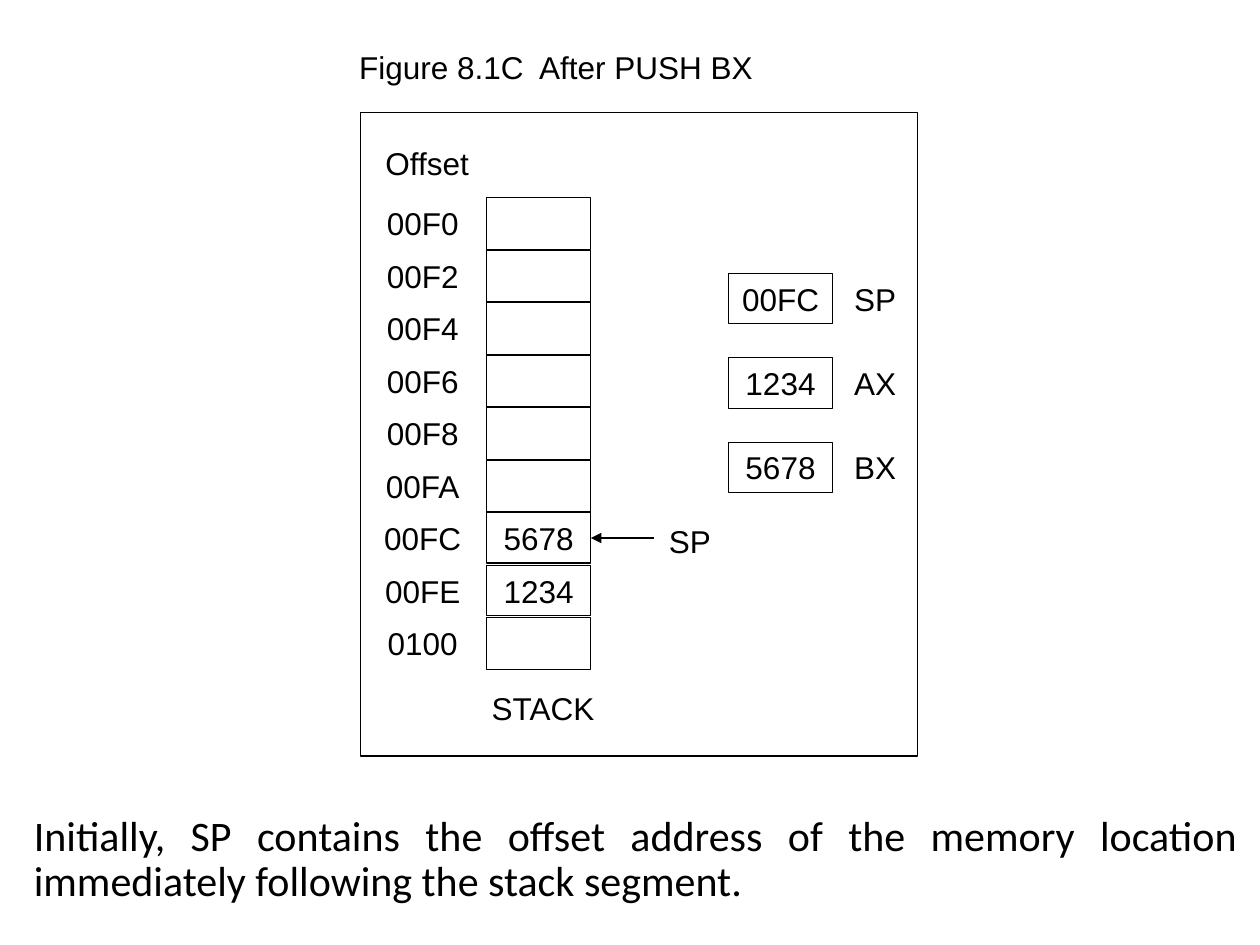
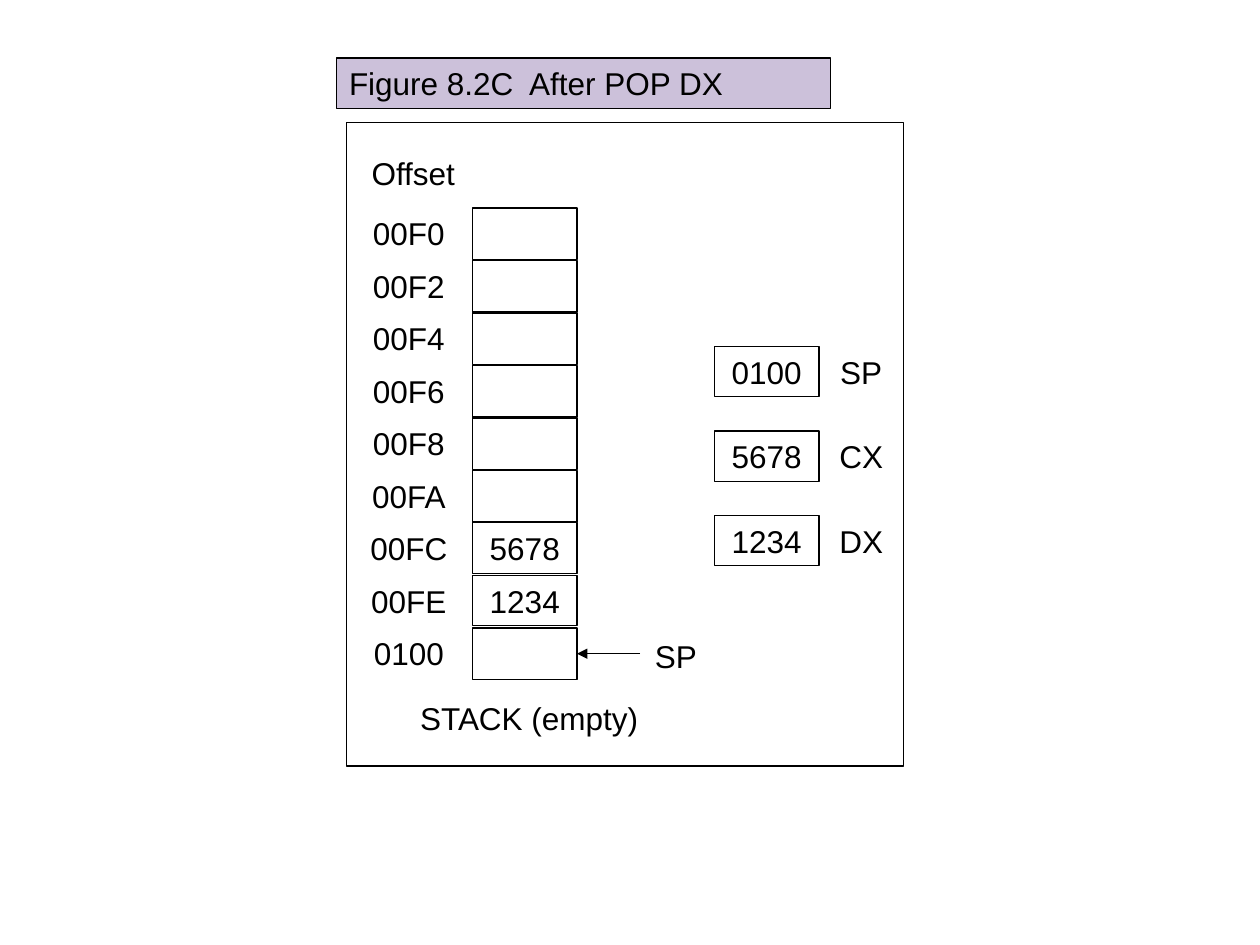
import pptx
import pptx.dml.color
import pptx.enum.shapes
import pptx.enum.text
import pptx.oxml
import pptx.util
from pptx.util import Inches

COLORS = {"ink": "000000", "caption": "CCC1DA"}
ALIGN = pptx.enum.text.PP_ALIGN
OFFSETS = ["00F0", "00F2", "00F4", "00F6", "00F8", "00FA", "00FC", "00FE", "0100"]
STACK_VALUES = {"00FC": "5678", "00FE": "1234"}
FRAME_SIZE = (4.42, 5.11)
CELL_W, CELL_H, TEXT_H = 0.83, 0.41, 0.4
ROW_PITCH = 5 / 12
REGISTER_PITCH = 0.67


def rgb(name):
    """Return a named colour."""
    return pptx.dml.color.RGBColor.from_string(COLORS[name])


def write(shape, text, align=ALIGN.CENTER, size=18, font="Arial"):
    """Put one formatted paragraph in a shape."""
    frame = shape.text_frame
    frame.text = text
    frame.word_wrap = True
    frame.auto_size = pptx.enum.text.MSO_AUTO_SIZE.NONE
    frame.vertical_anchor = pptx.enum.text.MSO_ANCHOR.MIDDLE
    paragraph = frame.paragraphs[0]
    paragraph.alignment = align
    paragraph.font.size = pptx.util.Pt(size)
    paragraph.font.name = font
    paragraph.font.color.rgb = rgb("ink")
    return paragraph


def outline(shape):
    """Give a shape or connector the thin black line."""
    shape.line.color.rgb = rgb("ink")
    shape.line.width = pptx.util.Pt(0.75)


def add_label(slide, text, x, y, width=CELL_W):
    """Add centred text without a border."""
    label = slide.shapes.add_textbox(
        Inches(x), Inches(y), Inches(width), Inches(TEXT_H))
    write(label, text)


def add_box(slide, x, y, width, height, text=""):
    """Add an outlined, unfilled rectangle."""
    box = slide.shapes.add_shape(
        pptx.enum.shapes.MSO_SHAPE.RECTANGLE,
        Inches(x), Inches(y), Inches(width), Inches(height))
    box.shadow.inherit = False
    box.fill.background()
    outline(box)
    if text:
        write(box, text)
    return box


def add_pointer(slide, cell, tail_x):
    """Draw an arrow from tail_x to the right side of a stack cell."""
    middle = cell.top + cell.height // 2
    arrow = slide.shapes.add_connector(
        pptx.enum.shapes.MSO_CONNECTOR.STRAIGHT,
        Inches(tail_x), middle, cell.left + cell.width, middle)
    arrow.end_connect(cell, 3)
    outline(arrow)
    properties = arrow._element.spPr
    line_end = pptx.oxml.parse_xml(
        '<a:tailEnd xmlns:a="http://schemas.openxmlformats.org/drawingml/2006/main"'
        ' type="triangle"/>')
    properties.find(pptx.oxml.ns.qn("a:ln")).append(line_end)
    properties.append(properties.makeelement(pptx.oxml.ns.qn("a:effectLst"), {}))


def add_stack(slide, x, y, pointer):
    """Add the offsets, the stack cells and the SP pointer."""
    add_label(slide, "Offset", x - 0.01, y - 0.48, 0.92)
    for row, offset in enumerate(OFFSETS):
        top = y + row * ROW_PITCH
        value = STACK_VALUES.get(offset, "")
        add_label(slide, offset, x, top)
        cell = add_box(slide, x + 0.92, top, CELL_W, TEXT_H if value else CELL_H, value)
        if offset == pointer:
            add_pointer(slide, cell, x + 2.25)
            add_label(slide, "SP", x + 2.12, top + 0.02)


def add_registers(slide, x, y, registers):
    """Add the column of register values with their names."""
    for row, (name, value) in enumerate(registers.items()):
        top = y + row * REGISTER_PITCH
        add_box(slide, x, top, CELL_W, TEXT_H, value)
        add_label(slide, name, x + 0.75, top)


def add_caption(slide, text, x, y, filled):
    """Place the figure caption in the title placeholder."""
    title = slide.shapes.title
    title.left, title.top = Inches(x), Inches(y)
    title.width, title.height = Inches(3.92), Inches(TEXT_H)
    write(title, text, ALIGN.LEFT)
    if filled:
        title.fill.solid()
        title.fill.fore_color.rgb = rgb("caption")
        outline(title)


def add_figure(slide, x, y, registers, registers_y, stack_name, stack_name_w):
    """Add the framed diagram of stack and registers."""
    add_box(slide, x, y, *FRAME_SIZE)
    add_stack(slide, x + 0.08, y + 0.68, registers["SP"])
    add_registers(slide, x + 2.92, y + registers_y, registers)
    add_label(slide, stack_name, x + 1.45 - stack_name_w / 2, y + 4.53, stack_name_w)


def add_explanation(slide, text, x, y, width, height):
    """Add the justified sentence below the figure."""
    explanation = slide.shapes.add_textbox(
        Inches(x), Inches(y), Inches(width), Inches(height))
    paragraph = write(explanation, text, ALIGN.JUSTIFY, 24, "Calibri")
    paragraph.line_spacing = 0.9
    explanation.text_frame.vertical_anchor = pptx.enum.text.MSO_ANCHOR.TOP


def main():
    """Build both slides and save the deck."""
    deck = pptx.Presentation()
    deck.slide_width, deck.slide_height = Inches(10), Inches(7.5)
    title_only = deck.slide_layouts[5]

    push = deck.slides.add_slide(title_only)
    add_caption(push, "Figure 8.1C  After PUSH BX", 2.75, 0.33, filled=False)
    add_figure(push, 2.86, 0.89, {"SP": "00FC", "AX": "1234", "BX": "5678"},
               1.28, "STACK", 1.39)
    add_explanation(push, "Initially, SP contains the offset address of the memory "
                    "location immediately following the stack segment.",
                    0.17, 6.42, 9.75, 0.83)

    pop = deck.slides.add_slide(title_only)
    add_caption(pop, "Figure 8.2C  After POP DX", 2.67, 0.46, filled=True)
    add_figure(pop, 2.75, 0.97, {"SP": "0100", "CX": "5678", "DX": "1234"},
               1.78, "STACK (empty)", 2.08)

    deck.save("out.pptx")


if __name__ == "__main__":
    main()
